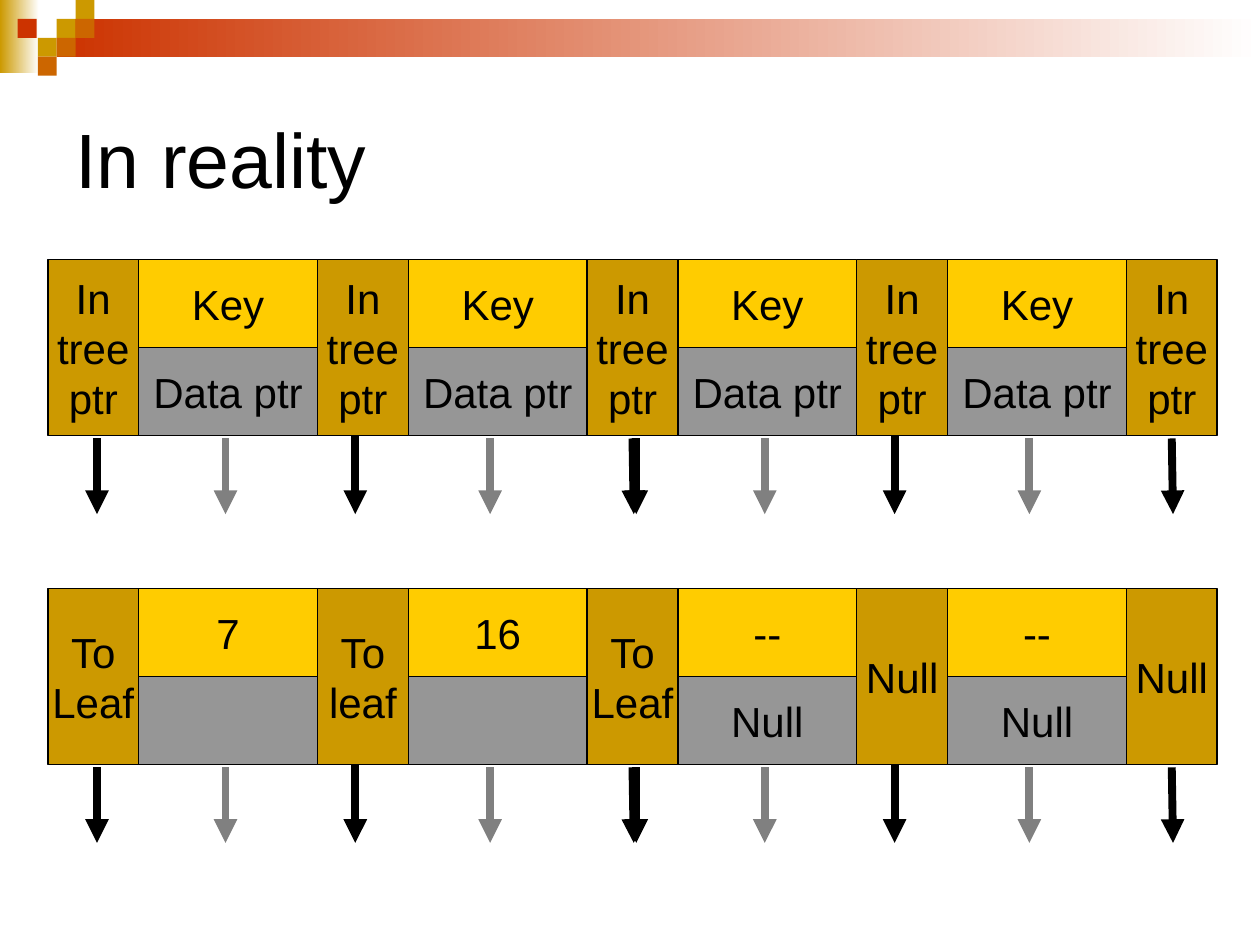
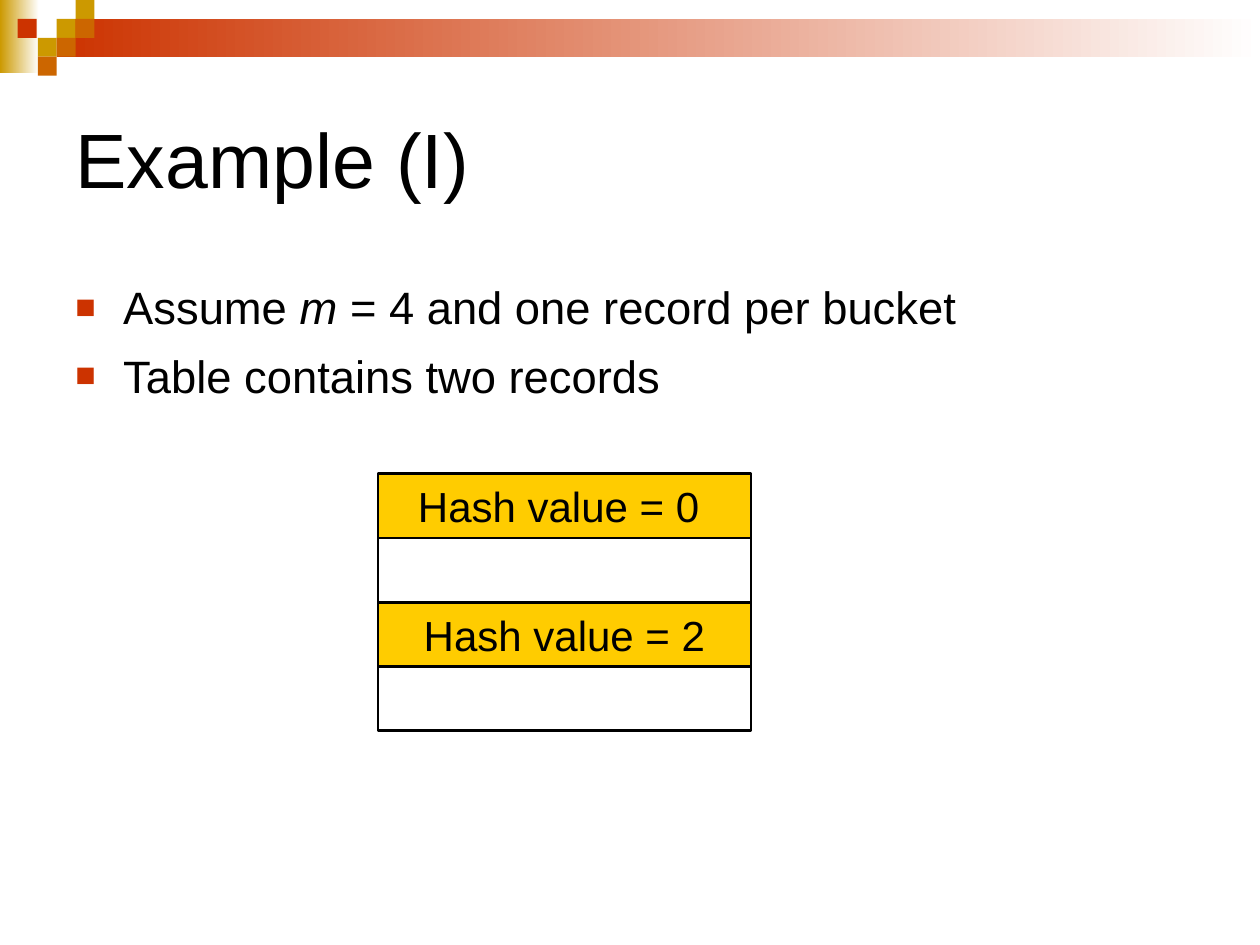
from dataclasses import dataclass

from lxml import etree
from pptx import Presentation
from pptx.dml.color import RGBColor as Color
from pptx.enum.shapes import MSO_CONNECTOR as Connector, MSO_SHAPE as Shape
from pptx.enum.text import MSO_ANCHOR as Anchor, MSO_AUTO_SIZE as AutoSize, PP_ALIGN as Align
from pptx.oxml.ns import qn
from pptx.util import Inches, Pt


@dataclass(frozen=True)
class Theme:
    font: str = "Arial"
    title_size: float = 44
    body_size: float = 25.9
    cell_size: float = 24
    black: str = "000000"
    white: str = "FFFFFF"
    red: str = "CC3300"
    orange: str = "CC6600"
    ochre: str = "CC9900"
    yellow: str = "FFCC00"
    cell_gray: str = "969696"
    arrow_gray: str = "808080"


THEME = Theme()

# Master band: gradient bars (left, top, width, height, colour) and small squares
BARS = [(0, 0, 0.31, 0.58, THEME.ochre), (0.45, 0.15, 9.55, 0.3, THEME.red)]
SQUARE = 0.15
SQUARES = [
    (0.45, 0.15, THEME.ochre),
    (0.6, 0, THEME.ochre),
    (0.6, 0.15, THEME.orange),
    (0.3, 0.3, THEME.ochre),
    (0.14, 0.15, THEME.red),
    (0.45, 0.3, THEME.orange),
    (0.3, 0.45, THEME.orange),
]

# Tree node grid
NODE_LEFT = 0.38
POINTER_WIDTH = 0.72
RECORD_WIDTH = 1.42
RECORD_HEIGHT = 0.7
NODE_HEIGHT = 2 * RECORD_HEIGHT
PITCH = POINTER_WIDTH + RECORD_WIDTH

# Arrows of half a node: start x, end x, gap below the node, colour
ARROWS = [
    (0.77, 0.77, 0.02, THEME.black),
    (1.79, 1.79, 0.02, THEME.arrow_gray),
    (2.82, 2.82, 0, THEME.black),
    (3.89, 3.89, 0.02, THEME.arrow_gray),
    (5.02, 5.03, 0.02, THEME.black),
]
ARROW_REACH = 0.62

# Each node: top, pointer labels, (key, data) labels
NODES = [
    (2.06, ["In\vtree\vptr"] * 5, [("Key", "Data ptr")] * 4),
    (
        4.67,
        ["To\nLeaf", "To\vleaf", "To\nLeaf", "Null", "Null"],
        [("7", ""), ("16", ""), ("--", "Null"), ("--", "Null")],
    ),
]

BULLETS = [
    [("Assume ", False), ("m", True), (" = 4 and one record per bucket", False)],
    [("Table contains two records", False)],
]
BUCKETS = ["Hash value = 0 ", "", "Hash value = 2", ""]


def apply_format(target, values):
    for name, value in values.items():
        setattr(target, name, value)


def format_font(font, size, **extra):
    apply_format(font, {"name": THEME.font, "size": Pt(size), **extra})
    font.color.rgb = Color.from_string(THEME.black)


def place(shape, left, top, width, height):
    names = ("left", "top", "width", "height")
    apply_format(shape, dict(zip(names, map(Inches, (left, top, width, height)))))


def add_box(slide, left, top, width, height, fill=None, line=None, text="", wrap=False):
    """Rectangle with an optional solid fill, outline in points and centred label."""
    box = slide.shapes.add_shape(Shape.RECTANGLE, *map(Inches, (left, top, width, height)))
    box.shadow.inherit = False
    if fill:
        box.fill.solid()
        box.fill.fore_color.rgb = Color.from_string(fill)
    else:
        box.fill.background()
    if line:
        box.line.color.rgb = Color.from_string(THEME.black)
        box.line.width = Pt(line)
    else:
        box.line.fill.background()
    if text:
        frame = box.text_frame
        apply_format(frame, {"text": text, "word_wrap": wrap, "vertical_anchor": Anchor.MIDDLE})
        for paragraph in frame.paragraphs:
            paragraph.alignment = Align.CENTER
            format_font(paragraph.font, THEME.cell_size)
            for run in paragraph.runs:
                format_font(run.font, THEME.cell_size)
    return box


def add_gradient_bar(slide, left, top, width, height, color):
    bar = add_box(slide, left, top, width, height)
    bar.fill.gradient()
    bar.fill.gradient_angle = 0
    for stop, stop_color in zip(bar.fill.gradient_stops, (color, THEME.white)):
        stop.color.rgb = Color.from_string(stop_color)
    first, last = bar.fill.gradient_stops
    first.position, last.position = 0, 1
    return bar


def add_arrow(slide, start, end, color):
    arrow = slide.shapes.add_connector(Connector.STRAIGHT, *map(Inches, (*start, *end)))
    arrow.line.color.rgb = Color.from_string(color)
    arrow.line.width = Pt(4.5)
    line = arrow.line._get_or_add_ln()
    etree.SubElement(line, qn("a:tailEnd"), type="triangle")
    etree.SubElement(arrow.element.spPr, qn("a:effectLst"))


def add_titled_slide(presentation, layout, title):
    slide = presentation.slides.add_slide(layout)
    place(slide.shapes.title, 0.5, 0.5, 9, 1.5)
    frame = slide.shapes.title.text_frame
    apply_format(frame, {
        "text": title,
        "vertical_anchor": Anchor.MIDDLE,
        "auto_size": AutoSize.NONE,
        "word_wrap": True,
    })
    paragraph = frame.paragraphs[0]
    paragraph.alignment = Align.LEFT
    format_font(paragraph.runs[0].font, THEME.title_size)
    return slide


def move_band_to_layout(slide, layout):
    """Draw the band, then hand it to the layout so that all slides share it."""
    for placeholder in list(layout.placeholders)[1:]:
        placeholder.element.getparent().remove(placeholder.element)
    band = [add_gradient_bar(slide, *bar) for bar in BARS]
    band += [add_box(slide, left, top, SQUARE, SQUARE, color) for left, top, color in SQUARES]
    for shape in band:
        layout.shapes.element.append(shape.element)


def add_node(slide, top, pointers, records):
    # Pointer columns
    for index, label in enumerate(pointers):
        left = NODE_LEFT + index * PITCH
        add_box(slide, left, top, POINTER_WIDTH, NODE_HEIGHT, THEME.ochre, 0.75, label)
    # Key above data pointer
    for index, labels in enumerate(records):
        left = NODE_LEFT + POINTER_WIDTH + index * PITCH
        for row, (label, color) in enumerate(zip(labels, (THEME.yellow, THEME.cell_gray))):
            add_box(slide, left, top + row * RECORD_HEIGHT, RECORD_WIDTH, RECORD_HEIGHT,
                    color, 0.75, label)
    # The same arrows under each half of the node
    bottom = top + NODE_HEIGHT
    for shift in (0, 2 * PITCH):
        for start, end, gap, color in ARROWS:
            add_arrow(slide, (start + shift, bottom + gap),
                      (end + shift, bottom + ARROW_REACH), color)


def add_bullets(slide, items, left, top, width, height):
    box = slide.shapes.add_textbox(*map(Inches, (left, top, width, height)))
    frame = box.text_frame
    frame.word_wrap = True
    for index, pieces in enumerate(items):
        paragraph = frame.add_paragraph() if index else frame.paragraphs[0]
        paragraph.space_before = Pt(8)
        for text, italic in pieces:
            run = paragraph.add_run()
            run.text = text
            format_font(run.font, THEME.body_size, italic=italic)
        properties = paragraph._p.get_or_add_pPr()
        properties.set("marL", str(Inches(0.38)))
        properties.set("indent", str(-Inches(0.38)))
        color = etree.SubElement(properties, qn("a:buClr"))
        etree.SubElement(color, qn("a:srgbClr"), val=THEME.red)
        etree.SubElement(properties, qn("a:buSzPct"), val="75000")
        etree.SubElement(properties, qn("a:buFont"), typeface=THEME.font)
        etree.SubElement(properties, qn("a:buChar"), char="■")


def add_buckets(slide, labels, left, top, width, height):
    for index, label in enumerate(labels):
        fill = THEME.yellow if label else None
        add_box(slide, left, top + index * height, width, height, fill, 1.5, label, wrap=True)


def main():
    presentation = Presentation()
    apply_format(presentation, {"slide_width": Inches(10), "slide_height": Inches(7.5)})
    layout = presentation.slide_layouts.get_by_name("Title Only")

    # Slide 1: node layout and a filled node
    reality = add_titled_slide(presentation, layout, "In reality")
    move_band_to_layout(reality, layout)
    for node in NODES:
        add_node(reality, *node)

    # Slide 2: hash table buckets
    example = add_titled_slide(presentation, layout, "Example (I)")
    add_bullets(example, BULLETS, 0.5, 2.17, 9, 1.1)
    add_buckets(example, BUCKETS, 3, 3.76, 2.96, 0.51)

    presentation.save("out.pptx")


if __name__ == "__main__":
    main()
